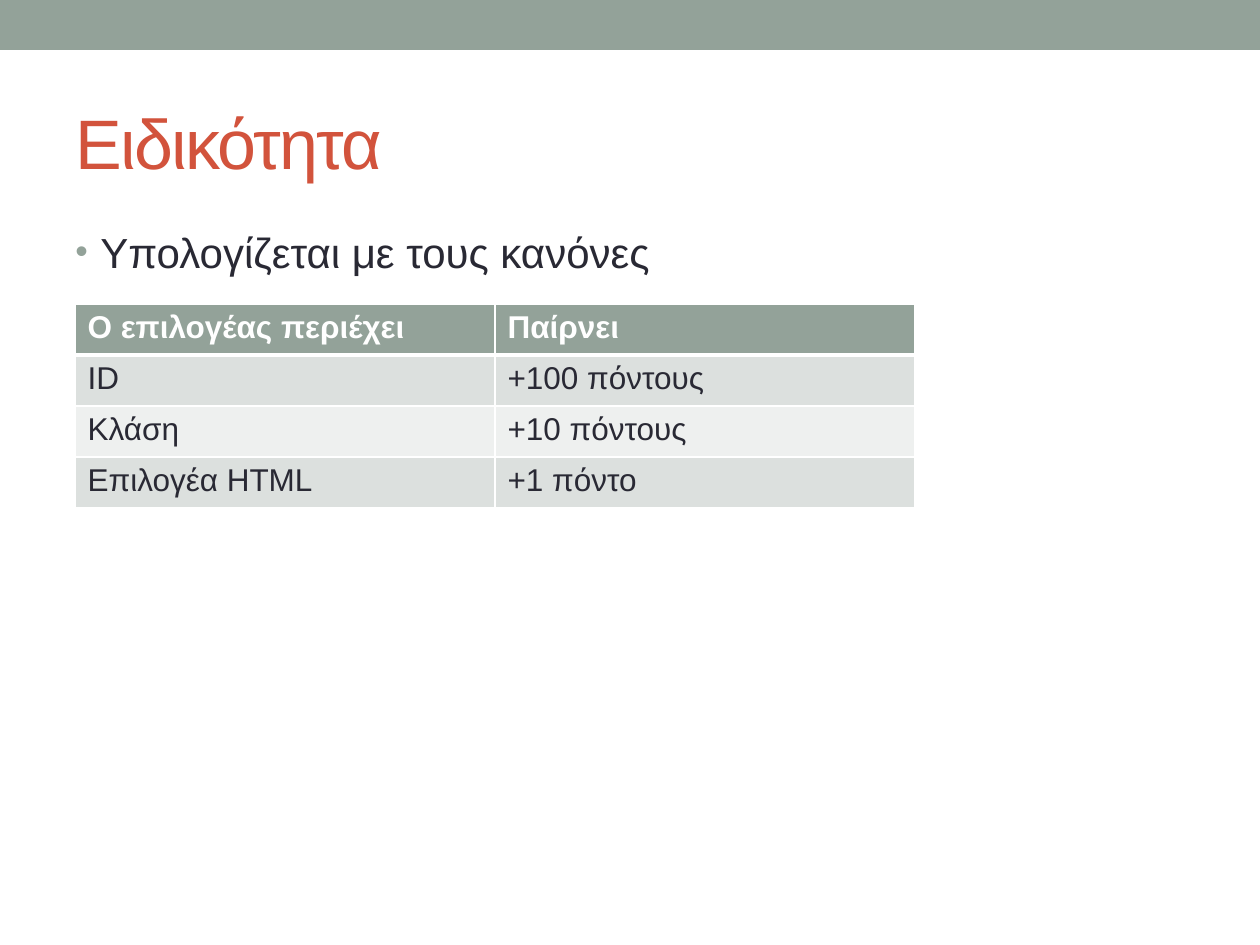
from dataclasses import dataclass

from lxml import etree
from pptx import Presentation
from pptx import util as u
from pptx.dml.color import RGBColor
from pptx.enum import shapes, text
from pptx.oxml import ns

# Content
TITLE = "Ειδικότητα"
BULLET = "Υπολογίζεται με τους κανόνες"
ROWS = [
    ("Ο επιλογέας περιέχει", "Παίρνει"),
    ("ID", "+100 πόντους"),
    ("Κλάση", "+10 πόντους"),
    ("Επιλογέα HTML", "+1 πόντο"),
]

# Layout in px
PX = u.Inches(1) // 126
PAGE = (1260, 945)
BAND = (0, 0, 1260, 50)
TITLE_BOX = (63, 73, 1134, 136)
BODY_BOX = (63, 220, 1134, 672)
TABLE_LEFT, TABLE_TOP = 75, 304
COLUMN_WIDTH, ROW_HEIGHT = 420, 51
INDENT = 25


@dataclass(frozen=True)
class Theme:
    font: str = "Arial"
    accent: str = "93A299"
    title: str = "D2533C"
    ink: str = "292934"
    paper: str = "FFFFFF"
    bands: tuple = ("DCE0DE", "EEF0EF")
    title_size: int = 40
    body_size: int = 24
    table_size: int = 18
    thin: int = 1
    thick: int = 3


THEME = Theme()


def px(*lengths):
    return [length * PX for length in lengths]


def fill_with(item, color):
    item.fill.solid()
    item.fill.fore_color.rgb = RGBColor.from_string(color)


def style(para, size, color, bold=False):
    for span in para.runs:
        span.font.name = THEME.font
        span.font.size = u.Pt(size)
        span.font.bold = bold
        span.font.color.rgb = RGBColor.from_string(color)


def add_child(parent, tag, **attributes):
    return etree.SubElement(parent, ns.qn(tag), attributes)


def add_bullet(para):
    props = para._p.get_or_add_pPr()
    props.set("marL", str(INDENT * PX))
    props.set("indent", str(-INDENT * PX))
    add_child(add_child(props, "a:spcBef"), "a:spcPct", val="20000")
    add_child(add_child(props, "a:buClr"), "a:srgbClr", val=THEME.accent)
    add_child(props, "a:buSzPct", val="85000")
    add_child(props, "a:buFont", typeface=THEME.font)
    add_child(props, "a:buChar", char="•")


def add_borders(cell, top, bottom):
    props = cell._tc.get_or_add_tcPr()
    widths = {"L": THEME.thin, "R": THEME.thin, "T": top, "B": bottom}
    for side, width in widths.items():
        line = add_child(props, f"a:ln{side}", w=str(u.Pt(width)))
        add_child(add_child(line, "a:solidFill"), "a:srgbClr", val=THEME.paper)


def add_heading(page):
    band = page.shapes.add_shape(shapes.MSO_SHAPE.RECTANGLE, *px(*BAND))
    band.shadow.inherit = False
    fill_with(band, THEME.accent)
    band.line.fill.background()

    title = page.shapes.title
    title.left, title.top, title.width, title.height = px(*TITLE_BOX)
    frame = title.text_frame
    frame.text = TITLE
    frame.vertical_anchor = text.MSO_ANCHOR.MIDDLE
    para = frame.paragraphs[0]
    para.alignment = text.PP_ALIGN.LEFT
    style(para, THEME.title_size, THEME.title)
    para.runs[0].font._element.set("spc", "-100")


def add_body(page):
    box = page.shapes.add_textbox(*px(*BODY_BOX))
    box.text_frame.word_wrap = True
    para = box.text_frame.paragraphs[0]
    para.text = BULLET
    add_bullet(para)
    style(para, THEME.body_size, THEME.ink)


def add_points_table(page):
    columns = len(ROWS[0])
    size = (columns * COLUMN_WIDTH, len(ROWS) * ROW_HEIGHT)
    frame = page.shapes.add_table(
        len(ROWS), columns, *px(TABLE_LEFT, TABLE_TOP, *size))
    for i, row in enumerate(ROWS):
        header = i == 0
        for j, value in enumerate(row):
            cell = frame.table.cell(i, j)
            cell.text = value
            add_borders(cell,
                        top=THEME.thick if i == 1 else THEME.thin,
                        bottom=THEME.thick if header else THEME.thin)
            fill_with(cell, THEME.accent if header else THEME.bands[(i - 1) % 2])
            style(cell.text_frame.paragraphs[0], THEME.table_size,
                  THEME.paper if header else THEME.ink, bold=header)


def main():
    deck = Presentation()
    deck.slide_width, deck.slide_height = px(*PAGE)
    page = deck.slides.add_slide(deck.slide_layouts[5])
    fill_with(page.background, THEME.paper)
    add_heading(page)
    add_body(page)
    add_points_table(page)
    deck.save("out.pptx")


if __name__ == "__main__":
    main()
